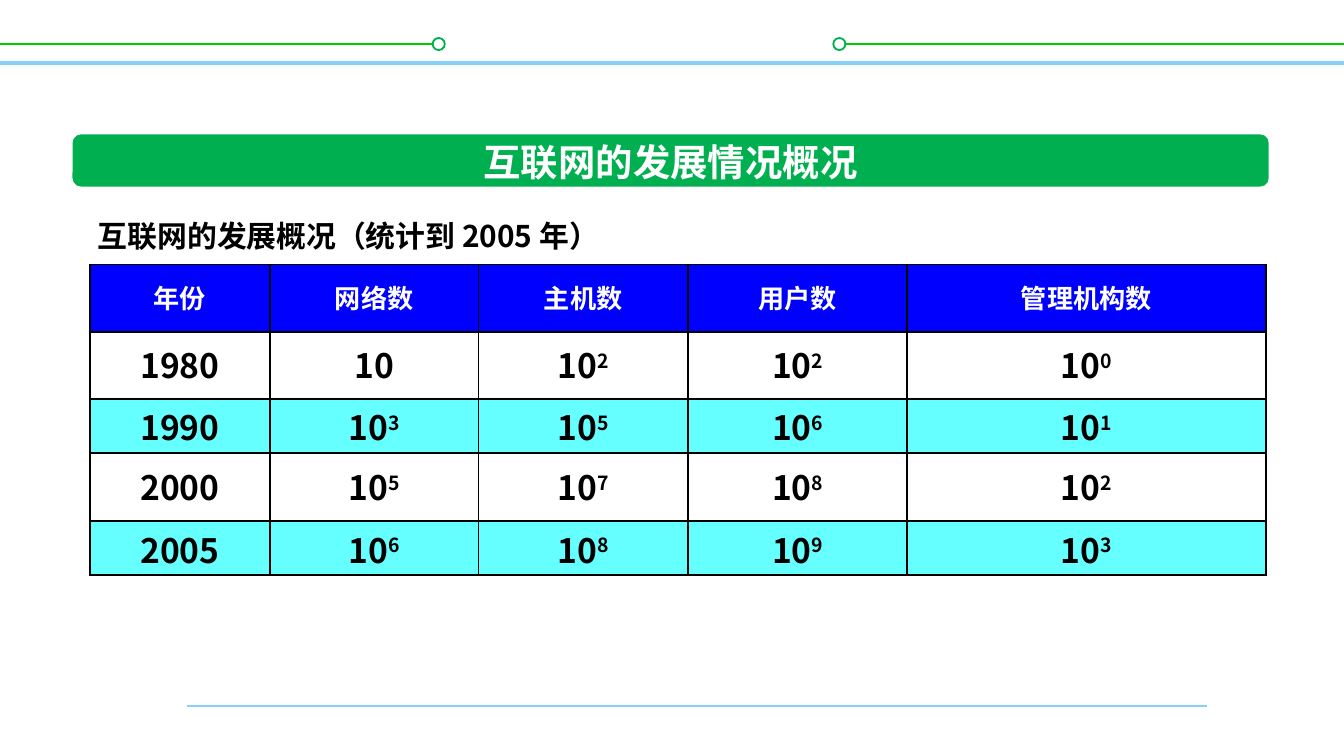
from dataclasses import dataclass

from lxml.etree import SubElement
from pptx import Presentation
from pptx.dml.color import RGBColor
from pptx.enum.shapes import MSO_CONNECTOR, MSO_SHAPE
from pptx.enum.text import MSO_ANCHOR, PP_ALIGN
from pptx.oxml.ns import qn
from pptx.util import Pt


@dataclass(frozen=True)
class Theme:
    white: str = "FFFFFF"
    black: str = "000000"
    sky: str = "85D1F7"
    lime: str = "00CC00"
    green: str = "00B050"
    header: str = "0000FF"
    band: str = "66FFFF"
    latin: str = "Calibri"
    cjk: str = "Noto Sans CJK SC"
    title: int = 20
    caption: int = 16
    head: int = 14
    body: int = 18


T = Theme()
HEADERS = ["年份", "网络数", "主机数", "用户数", "管理机构数"]
# Year, then the power of ten in each remaining column
GROWTH = [("1980", 1, 2, 2, 0), ("1990", 3, 5, 6, 1),
          ("2000", 5, 7, 8, 2), ("2005", 6, 8, 9, 3)]
COL_WIDTHS = [96.5, 111.6, 112.3, 117.4, 192.2]
ROW_HEIGHTS = [36, 36, 28.8, 36.7, 28.8]


def rgb(value):
    return RGBColor.from_string(value)


def add_run(p, text, size, color, font=T.cjk, raised=False):
    r = p.add_run()
    r.text = text
    for name, value in {"size": Pt(size), "bold": True, "name": font}.items():
        setattr(r.font, name, value)
    r.font.color.rgb = rgb(color)
    rpr = r.font._element
    SubElement(rpr, qn("a:ea")).set("typeface", T.cjk)
    if raised:
        rpr.set("baseline", "30000")


def add_line(s, x1, x2, y, color, width):
    line = s.shapes.add_connector(MSO_CONNECTOR.STRAIGHT, Pt(x1), Pt(y), Pt(x2), Pt(y))
    line.line.color.rgb = rgb(color)
    line.line.width = Pt(width)
    SubElement(line._element.spPr, qn("a:effectLst"))


def add_shape(s, kind, box, fill, outline=None):
    sp = s.shapes.add_shape(kind, *map(Pt, box))
    sp.shadow.inherit = False
    sp.fill.solid()
    sp.fill.fore_color.rgb = rgb(fill)
    if outline:
        sp.line.color.rgb = rgb(outline)
        sp.line.width = Pt(1)
    else:
        sp.line.fill.background()
    return sp


def add_frame(s, width):
    """Draw the rules and ring-ended lines at the top and bottom of the slide."""
    ring, y = 6.5, 23.6
    add_line(s, 0, width, 33.8, T.sky, 2)
    for edge, ring_x in ((0, 231.8), (width, 446.4)):
        add_line(s, edge, ring_x + ring / 2, y, T.lime, 1)
        add_shape(s, MSO_SHAPE.OVAL, (ring_x, y - ring / 2, ring, ring), T.white, T.green)
    add_line(s, 100, 646.5, 378.2, T.sky, 1.5)


def add_banner(s, box, text):
    x, y, w, h = box
    banner = add_shape(s, MSO_SHAPE.ROUNDED_RECTANGLE, box, T.green)
    banner.adjustments[0] = 0.167
    title = s.shapes.title
    title.element.addprevious(banner.element)
    tw, th = 216.7, 31.7
    place = {"left": x + (w - tw) / 2, "top": y + (h - th) / 2 + 0.4, "width": tw, "height": th}
    for name, value in place.items():
        setattr(title, name, Pt(value))
    tf = title.text_frame
    tf.word_wrap = False
    tf.vertical_anchor = MSO_ANCHOR.MIDDLE
    p = tf.paragraphs[0]
    p.alignment = PP_ALIGN.CENTER
    add_run(p, text, T.title, T.white, T.latin)


def add_caption(s, box, text):
    tf = s.shapes.add_textbox(*map(Pt, box)).text_frame
    tf.word_wrap = True
    add_run(tf.paragraphs[0], text, T.caption, T.black)


def add_borders(cell):
    """Give the cell black borders; call this before filling it."""
    tcpr = cell._tc.get_or_add_tcPr()
    for side in ("lnL", "lnR", "lnT", "lnB"):
        ln = SubElement(tcpr, qn(f"a:{side}"), w=str(Pt(1)))
        SubElement(SubElement(ln, qn("a:solidFill")), qn("a:srgbClr"), val=T.black)


def format_cell(cell, fill):
    add_borders(cell)
    cell.vertical_anchor = MSO_ANCHOR.MIDDLE
    if fill:
        cell.fill.solid()
        cell.fill.fore_color.rgb = rgb(fill)
    else:
        cell.fill.background()
    p = cell.text_frame.paragraphs[0]
    p.alignment = PP_ALIGN.CENTER
    p.line_spacing = 0.9
    return p


def add_growth_table(s, left, top):
    rows = [HEADERS, *GROWTH]
    size = (sum(COL_WIDTHS), sum(ROW_HEIGHTS))
    table = s.shapes.add_table(len(rows), len(HEADERS), *map(Pt, (left, top, *size))).table
    for col, width in zip(table.columns, COL_WIDTHS):
        col.width = Pt(width)
    for row, height in zip(table.rows, ROW_HEIGHTS):
        row.height = Pt(height)
    for i, values in enumerate(rows):
        fill = T.header if i == 0 else T.band if i % 2 == 0 else None
        for j, value in enumerate(values):
            p = format_cell(table.cell(i, j), fill)
            if i == 0:
                add_run(p, value, T.head, T.white)
            elif j == 0:
                add_run(p, value, T.body, T.black)
            else:
                add_run(p, "10", T.body, T.black)
                if value != 1 or i > 1:
                    add_run(p, str(value), T.body, T.black, raised=True)


def main():
    prs = Presentation()
    prs.slide_width, prs.slide_height = Pt(720), Pt(405)
    s = prs.slides.add_slide(prs.slide_layouts[5])
    add_frame(s, 720)
    add_banner(s, (38.9, 72, 640.8, 28), "互联网的发展情况概况")
    add_caption(s, (45.4, 113, 308.9, 26.6), "互联网的发展概况（统计到 2005 年）")
    add_growth_table(s, 48.2, 141.8)
    prs.save("out.pptx")


if __name__ == "__main__":
    main()
